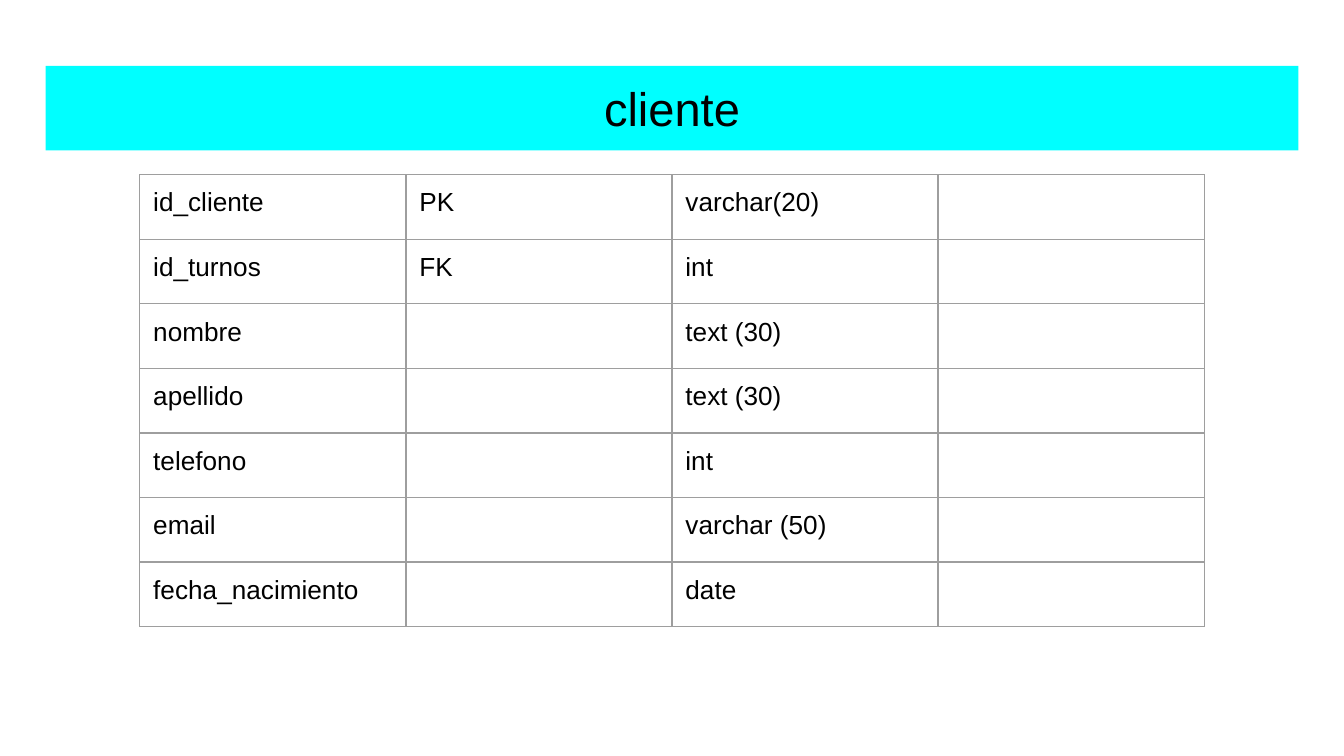
from dataclasses import dataclass

from lxml.etree import SubElement
from pptx import Presentation
from pptx.dml.color import RGBColor
from pptx.enum.shapes import MSO_SHAPE
from pptx.enum.text import MSO_ANCHOR, PP_ALIGN
from pptx.oxml.ns import qn
from pptx.util import Inches, Pt


@dataclass(frozen=True)
class Theme:
    """Colours, font and type sizes of the slide."""
    banner: str = "00FFFF"
    text: str = "000000"
    border: str = "9E9E9E"
    font: str = "Arial"
    title_size: float = 25.2
    cell_size: float = 14
    empty_size: float = 18
    border_width: float = 0.75


THEME = Theme()
SLIDE_WIDTH = Inches(10)
SLIDE_HEIGHT = SLIDE_WIDTH * 9 // 16
PADDING = Inches(0.1)
COLUMN_WIDTH = Inches(1.98)
ROW_HEIGHT = Inches(0.42)
FIELDS = [
    ("id_cliente", "PK", "varchar(20)", ""),
    ("id_turnos", "FK", "int", ""),
    ("nombre", "", "text (30)", ""),
    ("apellido", "", "text (30)", ""),
    ("telefono", "", "int", ""),
    ("email", "", "varchar (50)", ""),
    ("fecha_nacimiento", "", "date", ""),
]


def pad(box):
    """Give a cell or text frame the same inset on every side."""
    box.margin_left = box.margin_right = PADDING
    box.margin_top = box.margin_bottom = PADDING


def write(paragraph, text, size):
    """Fill a paragraph with text in the theme font."""
    paragraph.text = text
    paragraph.font.name = THEME.font
    paragraph.font.size = Pt(size)
    paragraph.font.color.rgb = RGBColor.from_string(THEME.text)


def hold_empty_line(paragraph):
    """Set the font that gives an empty cell its line height."""
    mark = SubElement(
        paragraph._p, qn("a:endParaRPr"), sz=str(int(THEME.empty_size * 100))
    )
    SubElement(mark, qn("a:latin"), typeface=THEME.font)


def add_banner(slide, title):
    """Draw the coloured band that holds the entity name."""
    banner = slide.shapes.add_shape(
        MSO_SHAPE.RECTANGLE, Inches(0.34), Inches(0.49), Inches(9.32), Inches(0.63)
    )
    banner.shadow.inherit = False
    banner.fill.solid()
    banner.fill.fore_color.rgb = RGBColor.from_string(THEME.banner)
    banner.line.fill.background()
    frame = banner.text_frame
    frame.word_wrap = True
    frame.vertical_anchor = MSO_ANCHOR.MIDDLE
    pad(frame)
    write(frame.paragraphs[0], title, THEME.title_size)
    frame.paragraphs[0].alignment = PP_ALIGN.CENTER


def add_borders(cell):
    """Outline a cell on all four sides."""
    properties = cell._tc.get_or_add_tcPr()
    for position, side in enumerate(("lnL", "lnR", "lnT", "lnB")):
        line = SubElement(properties, qn(f"a:{side}"), w=str(Pt(THEME.border_width)))
        fill = SubElement(line, qn("a:solidFill"))
        SubElement(fill, qn("a:srgbClr"), val=THEME.border)
        properties.insert(position, line)


def add_fields(slide, fields):
    """Lay out the entity fields in an outlined table."""
    rows, columns = len(fields), len(fields[0])
    table = slide.shapes.add_table(
        rows, columns, Inches(1.04), Inches(1.3),
        COLUMN_WIDTH * columns, ROW_HEIGHT * rows,
    ).table
    table.first_row = table.horz_banding = False
    for row, field in zip(table.rows, fields):
        for cell, text in zip(row.cells, field):
            cell.fill.background()
            pad(cell)
            add_borders(cell)
            paragraph = cell.text_frame.paragraphs[0]
            if text:
                write(paragraph, text, THEME.cell_size)
            else:
                hold_empty_line(paragraph)


def main():
    """Build the slide and save it."""
    deck = Presentation()
    deck.slide_width, deck.slide_height = SLIDE_WIDTH, SLIDE_HEIGHT
    slide = deck.slides.add_slide(deck.slide_layouts[6])
    add_banner(slide, "cliente")
    add_fields(slide, FIELDS)
    deck.save("out.pptx")


if __name__ == "__main__":
    main()
